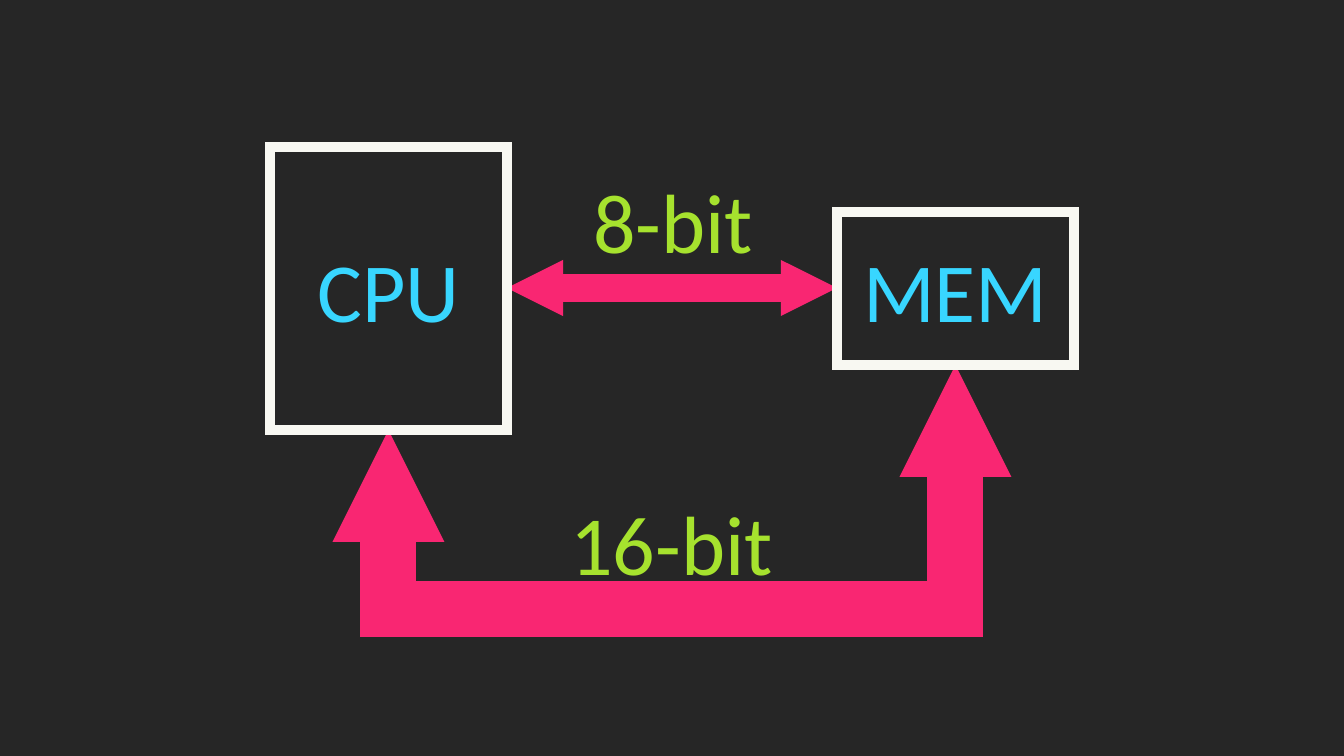
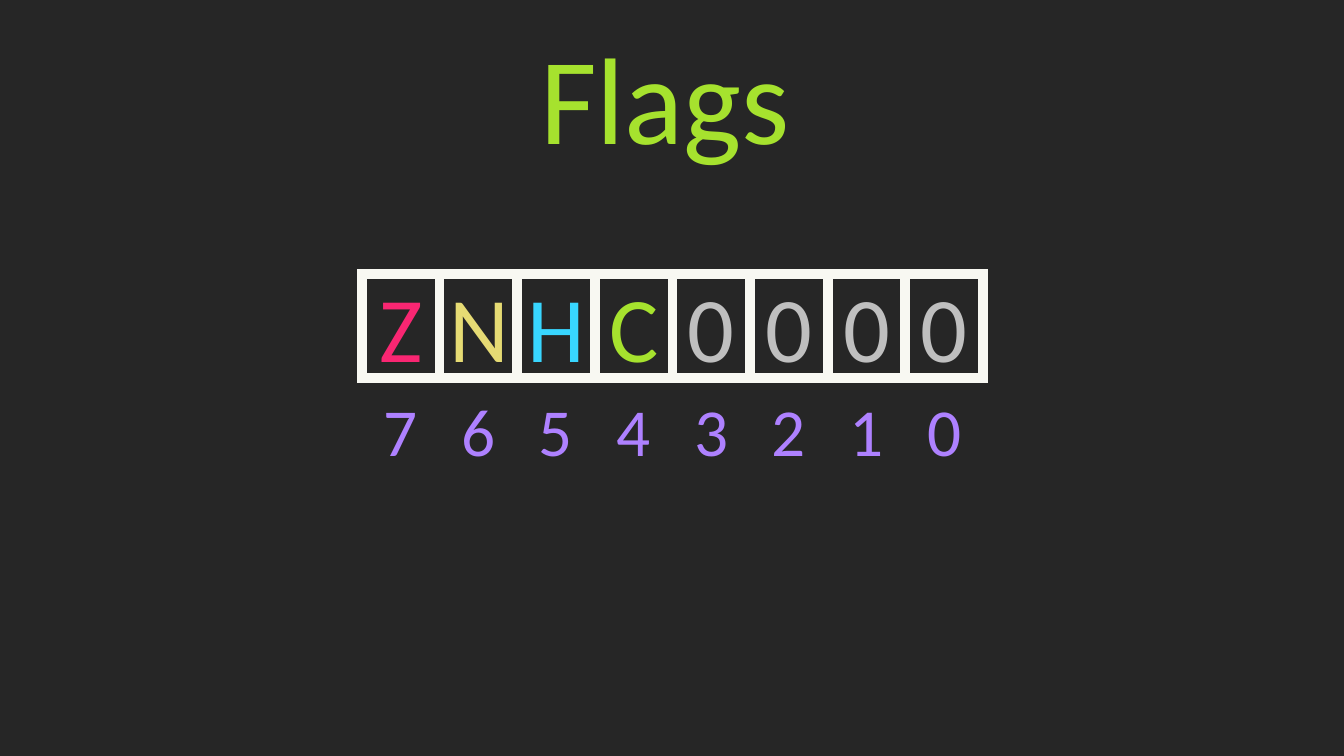
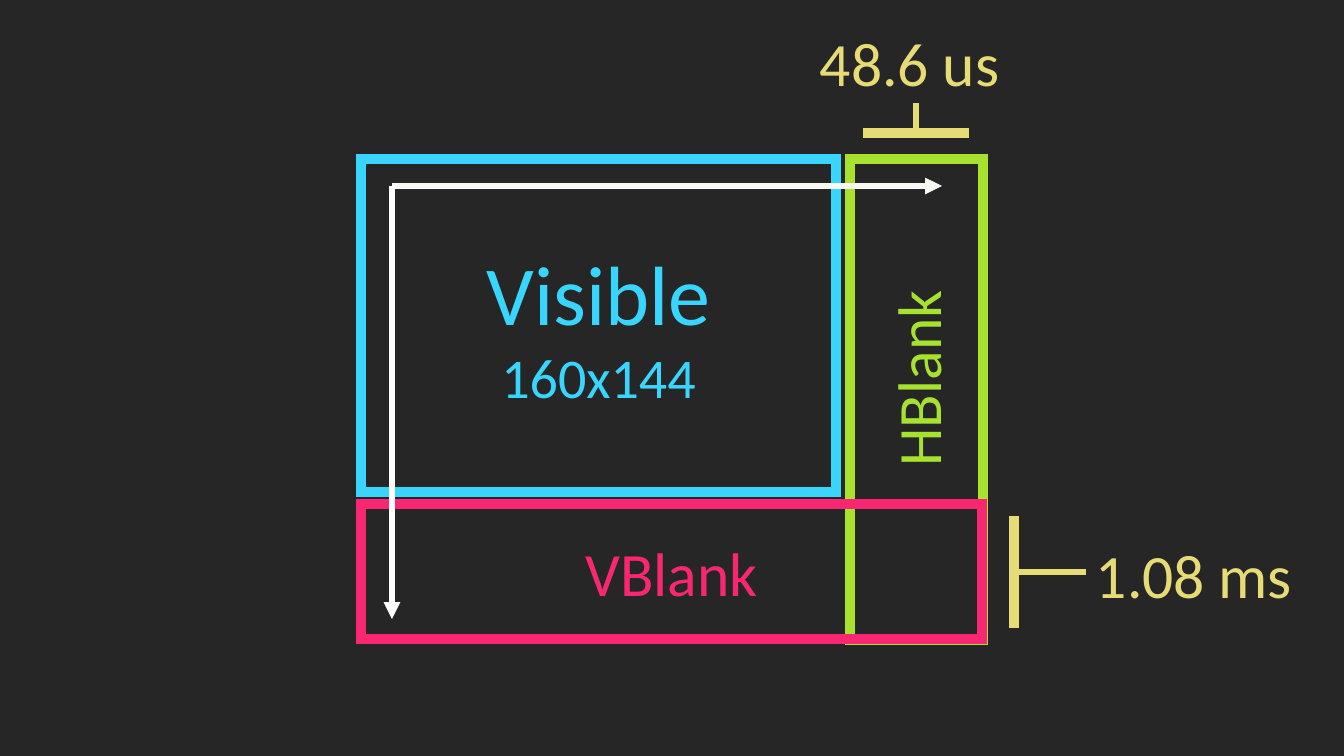
import pptx
import pptx.util
import pptx.dml.color
import pptx.enum.shapes
import pptx.enum.text
import pptx.oxml.ns
from lxml import etree

SCALE = 12192000 / 1344  # EMU in one px
FONT = "Calibri"
BACKGROUND, IVORY, WHITE, GREY = "262626", "F8F8F2", "FFFFFF", "BFBFBF"
PINK, BLUE, GREEN, YELLOW, PURPLE = "F92672", "38D6FF", "A6E22E", "E6DB74", "AE81FF"
TITLE_ONLY, BLANK = 5, 6

# Bus diagram: boxes are left, top, width, height
CHIPS = {"CPU": (270, 147, 237, 283), "MEM": (837, 212, 237, 153)}
BUS_LABELS = [("8-bit", (570, 165, 206, 112)), ("16-bit", (550, 487, 243, 112))]
NARROW_BUS_Y = 288
WIDE_BUS_MIDDLE = (672, 609)

# Flag register, from bit 7 down to bit 0
FLAGS = [("Z", PINK), ("N", YELLOW), ("H", BLUE), ("C", GREEN)] + [("0", GREY)] * 4
TITLE_BOX = (519, 16, 292, 159)
REGISTER_BOX = (362, 274, 621, 104)

# Screen timing: box, colour, lines of (text, size), further format
REGIONS = [
    ((361, 159, 475, 333), BLUE, [("Visible", 60), ("160x144", 40)], {}),
    ((850, 159, 133, 481), GREEN, [("HBlank", 44)], {"vertical": True, "indent": 42}),
    ((361, 504, 621, 135), PINK, [("VBlank", 44)], {}),
]
SCAN_START = (392, 186)
SCAN_ENDS = [((942, 186), IVORY), ((392, 619), WHITE)]
DURATIONS = [("1.08 ms", (1086, 532, 219, 85)), ("48.6 us", (810, 20, 253, 85))]
BRACKETS = [  # start, end, width in points
    ((1086, 572), (1014, 572), 4), ((1014, 628), (1014, 516), 7),
    ((916, 103), (916, 133), 4), ((969, 133), (863, 133), 7),
]


def px(*lengths):
    return [pptx.util.Emu(round(length * SCALE)) for length in lengths]


def color(hex_string):
    return pptx.dml.color.RGBColor.from_string(hex_string)


def add_element(parent, tag, **attributes):
    return etree.SubElement(parent, pptx.oxml.ns.qn(tag), attributes)


def write(shape, text, size=60, fill=GREEN, align="CENTER", anchor="MIDDLE",
          wrap=True, vertical=False, indent=0):
    """Put text, a string or a list of (text, size) lines, into a shape."""
    frame = shape.text_frame
    frame.word_wrap = wrap
    frame.auto_size = pptx.enum.text.MSO_AUTO_SIZE.NONE
    frame.vertical_anchor = getattr(pptx.enum.text.MSO_ANCHOR, anchor)
    if vertical:
        frame._txBody.bodyPr.set("vert", "vert270")
    lines = [(text, size)] if isinstance(text, str) else text
    for index, (line, line_size) in enumerate(lines):
        paragraph = frame.add_paragraph() if index else frame.paragraphs[0]
        paragraph.alignment = getattr(pptx.enum.text.PP_ALIGN, align)
        if indent:
            paragraph._p.get_or_add_pPr().set("marL", str(px(indent)[0]))
        run = paragraph.add_run()
        run.text = line
        run.font.name = FONT
        run.font.size = pptx.util.Pt(line_size)
        run.font.color.rgb = color(fill)


def add_label(slide, text, box, **text_format):
    write(slide.shapes.add_textbox(*px(*box)), text, **text_format)


def style_line(shape, hex_string, width):
    shape.line.color.rgb = color(hex_string)
    shape.line.width = pptx.util.Pt(width)
    outline = shape.line._get_or_add_ln()
    add_element(outline, "a:miter", lim="800000")
    return outline


def add_frame(slide, box, outline, text, **text_format):
    shape = slide.shapes.add_shape(pptx.enum.shapes.MSO_SHAPE.RECTANGLE, *px(*box))
    shape.shadow.inherit = False
    shape.fill.background()
    style_line(shape, outline, 7)
    write(shape, text, **text_format)


def add_line(slide, start, end, hex_string, width, arrows=(), head="med", bent=False):
    kinds = pptx.enum.shapes.MSO_CONNECTOR
    connector = slide.shapes.add_connector(
        kinds.ELBOW if bent else kinds.STRAIGHT, *px(*start, *end))
    outline = style_line(connector, hex_string, width)
    for side in arrows:
        add_element(outline, f"a:{side}End", type="triangle", w=head, len=head)
    properties = connector._element.spPr
    if bent:  # one corner: across first, then up
        properties.find(pptx.oxml.ns.qn("a:prstGeom")).set("prst", "bentConnector2")
    add_element(properties, "a:effectLst")


def build_bus(slide):
    for left, top, width, height in CHIPS.values():
        add_line(slide, WIDE_BUS_MIDDLE, (left + width / 2, top + height), PINK, 40,
                 arrows=["tail"], head="sm", bent=True)
    cpu, memory = CHIPS.values()
    add_line(slide, (cpu[0] + cpu[2], NARROW_BUS_Y), (memory[0], NARROW_BUS_Y), PINK, 20,
             arrows=["head", "tail"], head="sm")
    for name, box in CHIPS.items():
        add_frame(slide, box, IVORY, name, fill=BLUE)
    for text, box in BUS_LABELS:
        add_label(slide, text, box, anchor="TOP", wrap=False)


def build_flags(slide):
    title = slide.shapes.title
    title.left, title.top, title.width, title.height = px(*TITLE_BOX)
    write(title, "Flags", size=88, anchor="TOP", wrap=False)
    left, top, width, height = REGISTER_BOX
    cell = width / len(FLAGS)
    for index, (flag, fill) in enumerate(FLAGS):
        x = left + index * cell
        add_frame(slide, (x, top, cell, height), IVORY, flag, size=66, fill=fill)
        add_label(slide, str(len(FLAGS) - 1 - index), (x, top + height, cell, height),
                  size=48, fill=PURPLE)


def build_timing(slide):
    for box, hue, lines, text_format in REGIONS:
        add_frame(slide, box, hue, lines, fill=hue, **text_format)
    for end, hue in SCAN_ENDS:
        add_line(slide, SCAN_START, end, hue, 4, arrows=["tail"])
    for text, box in DURATIONS:
        add_label(slide, text, box, size=44, fill=YELLOW, align="LEFT", anchor="TOP")
    for start, end, width in BRACKETS:
        add_line(slide, start, end, YELLOW, width)


def main():
    presentation = pptx.Presentation()
    presentation.slide_width, presentation.slide_height = px(1344, 756)
    # Shared dark background
    background = presentation.slide_master.background.fill
    background.solid()
    background.fore_color.rgb = color(BACKGROUND)
    for build, layout in [(build_bus, BLANK), (build_flags, TITLE_ONLY), (build_timing, BLANK)]:
        build(presentation.slides.add_slide(presentation.slide_layouts[layout]))
    presentation.save("out.pptx")


if __name__ == "__main__":
    main()
